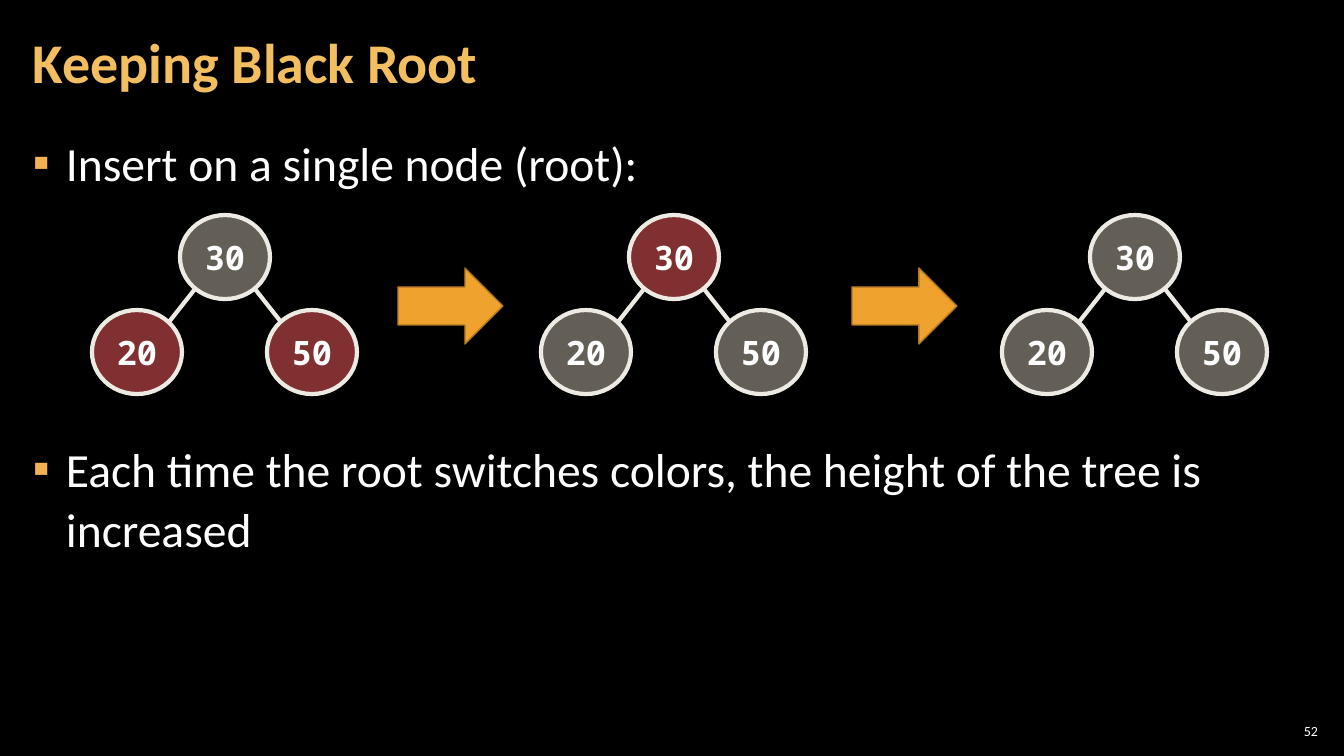
from dataclasses import dataclass

from lxml import etree
from pptx import Presentation
from pptx import util as u
from pptx.dml.color import RGBColor
from pptx.enum import shapes, text
from pptx.oxml.ns import qn

EMU_PER_PX = 914400 / 100.8


@dataclass(frozen=True)
class Theme:
    background: str = "000000"
    ink: str = "FFFFFF"
    title: str = "F3BE60"
    bullet: str = "F2B254"
    red: str = "FF6161"
    black: str = "C7BFAC"
    outline: str = "ECEAE3"
    arrow: str = "F0A22E"
    arrow_edge: str = "B27822"
    body_font: str = "Calibri"
    node_font: str = "Noto Sans Mono"
    title_size: int = 40
    body_size: int = 34
    node_size: int = 24
    number_size: int = 10
    node_alpha: int = 50


THEME = Theme()
NODE_SIZE = (90, 84)
TREES = (
    (92, THEME.black, THEME.red),
    (541, THEME.red, THEME.black),
    (1002, THEME.black, THEME.black),
)
ARROW_LEFTS = (398, 852)
BULLETS = (
    ("Insert on a single node (root):", 6),
    ("Each time the root switches colors, the height of the tree is increased", 170),
)


def px(*lengths):
    return [u.Emu(round(length * EMU_PER_PX)) for length in lengths]


def apply_format(target, values):
    for name, value in values.items():
        setattr(target, name, value)


def format_frame(frame, anchor, side, wrap=True):
    side_margin, edge_margin = px(side, 4)
    apply_format(frame, {
        "word_wrap": wrap, "auto_size": text.MSO_AUTO_SIZE.NONE,
        "vertical_anchor": anchor,
        "margin_left": side_margin, "margin_right": side_margin,
        "margin_top": edge_margin, "margin_bottom": edge_margin,
    })


def write(paragraph, content, size, color=THEME.ink, font=THEME.body_font,
          bold=False, **paragraph_format):
    apply_format(paragraph, paragraph_format)
    run = paragraph.add_run()
    run.text = content
    apply_format(run.font, {"name": font, "size": u.Pt(size), "bold": bold})
    run.font.color.rgb = RGBColor.from_string(color)


def paint(shape, fill, line, width, alpha=100):
    shape.shadow.inherit = False
    shape.fill.solid()
    shape.fill.fore_color.rgb = RGBColor.from_string(fill)
    if alpha < 100:
        color = shape.fill._xPr.find(qn("a:solidFill"))[0]
        etree.SubElement(color, qn("a:alpha"), val=str(alpha * 1000))
    shape.line.color.rgb = RGBColor.from_string(line)
    shape.line.width = u.Pt(width)


def set_bullet(paragraph, indent):
    properties = paragraph._p.get_or_add_pPr()
    width = px(indent)[0]
    properties.set("marL", str(width))
    properties.set("indent", str(-width))
    color = etree.SubElement(properties, qn("a:buClr"))
    etree.SubElement(color, qn("a:srgbClr"), val=THEME.bullet)
    etree.SubElement(properties, qn("a:buFont"), typeface=THEME.body_font)
    etree.SubElement(properties, qn("a:buChar"), char="▪")


def add_title(slide, content):
    title = slide.shapes.title
    left, top, width, height = px(21, 4, 1055, 122)
    apply_format(title, {"left": left, "top": top, "width": width, "height": height})
    format_frame(title.text_frame, text.MSO_ANCHOR.MIDDLE, 12)
    write(title.text_frame.paragraphs[0], content, THEME.title_size, THEME.title,
          bold=True, line_spacing=0.9, alignment=text.PP_ALIGN.LEFT)


def add_bullets(slide):
    frame = slide.shapes.add_textbox(*px(21, 127, 1301, 614)).text_frame
    format_frame(frame, text.MSO_ANCHOR.TOP, 12)
    for index, (content, space_before) in enumerate(BULLETS):
        paragraph = frame.add_paragraph() if index else frame.paragraphs[0]
        write(paragraph, content, THEME.body_size, line_spacing=1.05,
              space_before=u.Pt(space_before), space_after=u.Pt(6))
        set_bullet(paragraph, 33)


def add_slide_number(slide, number):
    frame = slide.shapes.add_textbox(*px(1275, 720, 47, 21)).text_frame
    format_frame(frame, text.MSO_ANCHOR.MIDDLE, 4)
    write(frame.paragraphs[0], number, THEME.number_size,
          alignment=text.PP_ALIGN.RIGHT)


def add_node(slide, left, top, label, fill):
    node = slide.shapes.add_shape(shapes.MSO_SHAPE.OVAL, *px(left, top, *NODE_SIZE))
    paint(node, fill, THEME.outline, 3, THEME.node_alpha)
    format_frame(node.text_frame, text.MSO_ANCHOR.MIDDLE, 10, wrap=False)
    write(node.text_frame.paragraphs[0], label, THEME.node_size,
          font=THEME.node_font, bold=True, alignment=text.PP_ALIGN.CENTER)


def add_edge(slide, start, end):
    edge = slide.shapes.add_connector(shapes.MSO_CONNECTOR.STRAIGHT, *px(*start, *end))
    edge.line.color.rgb = RGBColor.from_string(THEME.outline)
    edge.line.width = u.Pt(3)
    etree.SubElement(edge._element.spPr, qn("a:effectLst"))


def add_tree(slide, left, root_color, child_color):
    add_node(slide, left + 175, 310, "50", child_color)
    add_node(slide, left, 310, "20", child_color)
    add_node(slide, left + 88, 215, "30", root_color)
    center = left + 133
    for side in (-1, 1):
        add_edge(slide, (center + side * 30, 289), (center + side * 56, 322))


def add_arrow(slide, left):
    arrow = slide.shapes.add_shape(shapes.MSO_SHAPE.RIGHT_ARROW, *px(left, 268, 105, 76))
    paint(arrow, THEME.arrow, THEME.arrow_edge, 1)


def main():
    presentation = Presentation()
    presentation.slide_width, presentation.slide_height = px(1344, 756)
    slide = presentation.slides.add_slide(presentation.slide_layouts[5])
    slide.background.fill.solid()
    slide.background.fill.fore_color.rgb = RGBColor.from_string(THEME.background)
    add_title(slide, "Keeping Black Root")
    add_bullets(slide)
    add_slide_number(slide, "52")
    for tree in TREES:
        add_tree(slide, *tree)
    for left in ARROW_LEFTS:
        add_arrow(slide, left)
    presentation.save("out.pptx")


if __name__ == "__main__":
    main()
